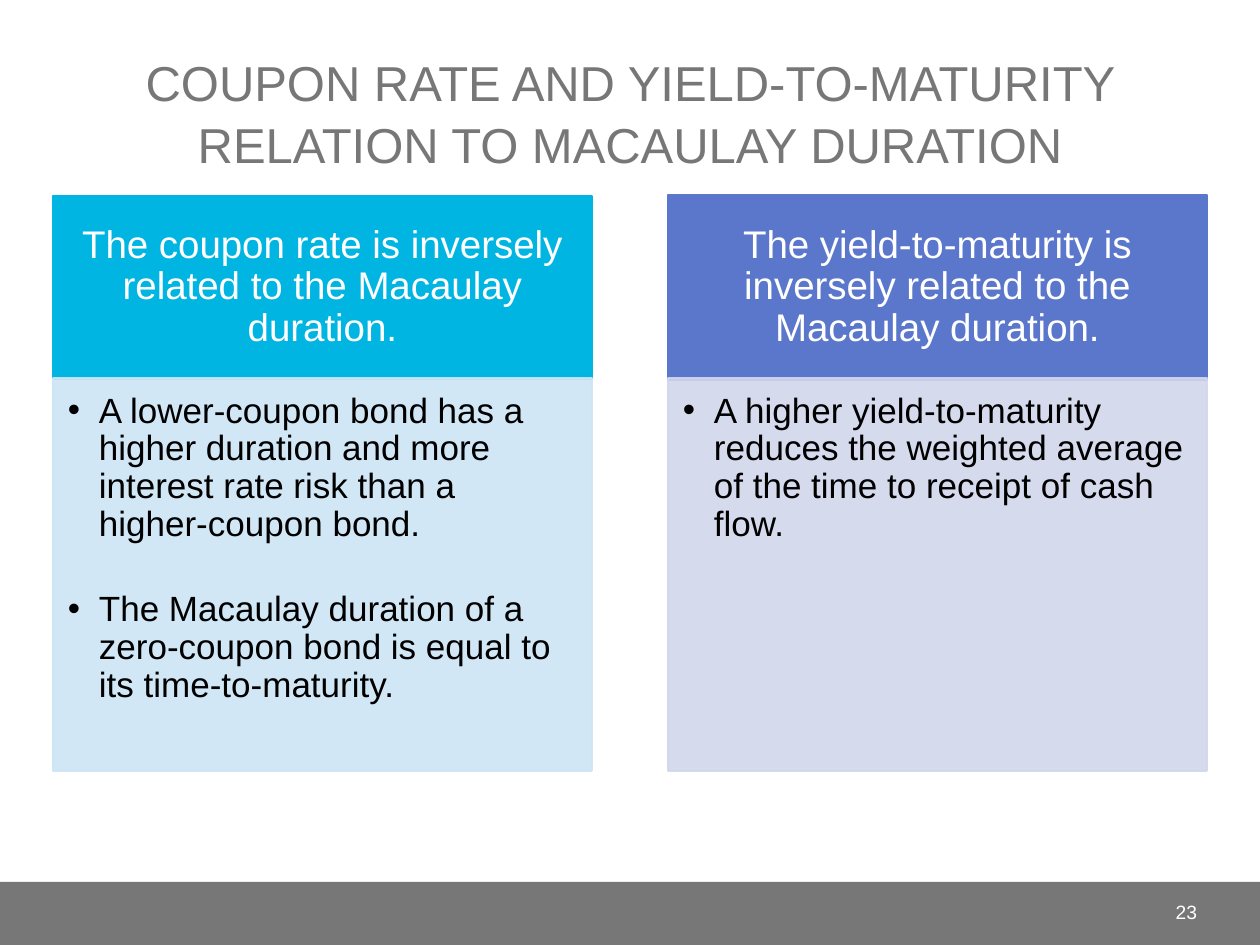
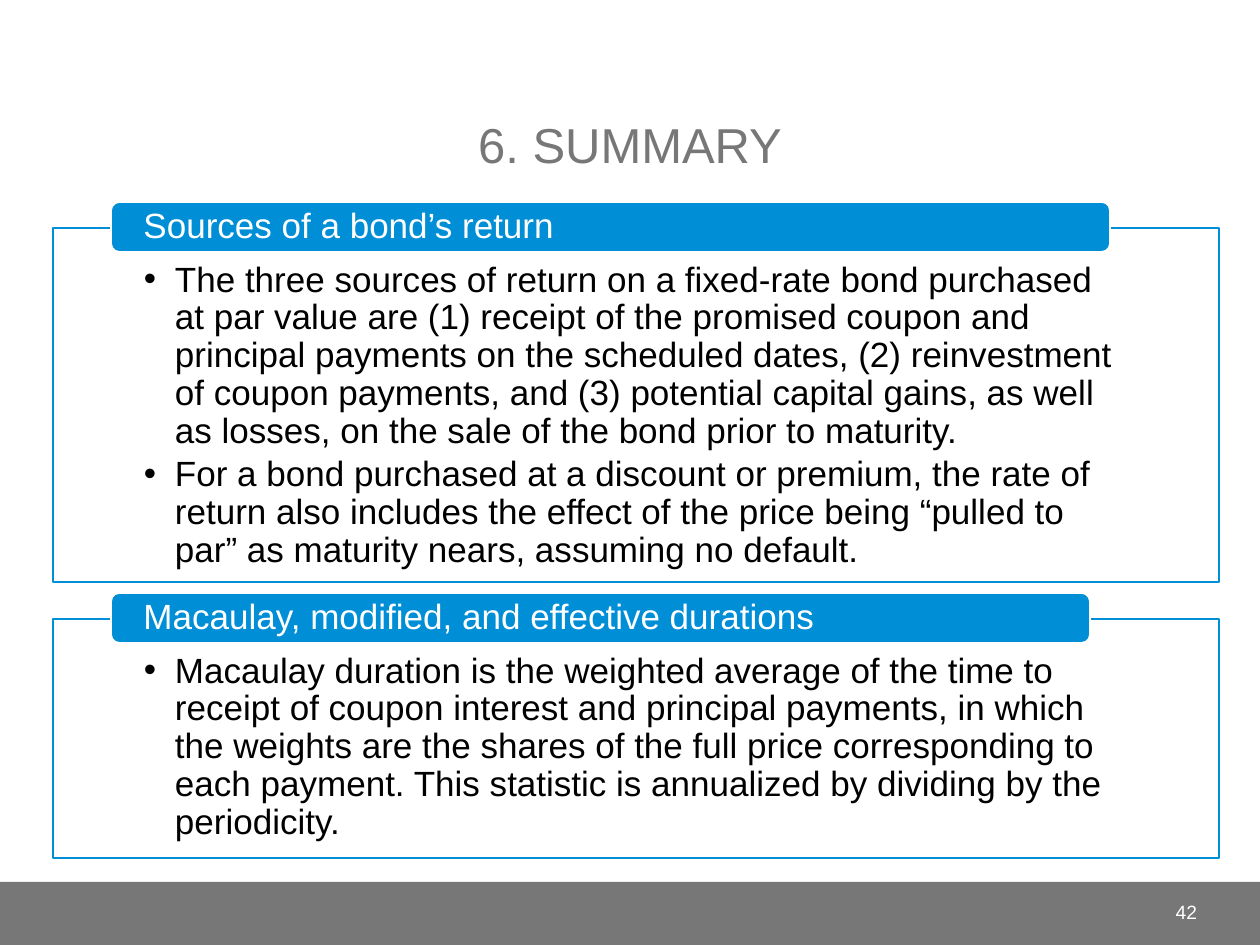
from pptx import Presentation
from pptx.dml.color import RGBColor
from pptx.enum.shapes import MSO_SHAPE
from pptx.enum.text import MSO_ANCHOR, PP_ALIGN
from pptx.oxml.ns import qn
from pptx.util import Pt
from lxml import etree

RECT, ROUND = MSO_SHAPE.RECTANGLE, MSO_SHAPE.ROUNDED_RECTANGLE
TOP, MID, LOW = MSO_ANCHOR.TOP, MSO_ANCHOR.MIDDLE, MSO_ANCHOR.BOTTOM
LEFT, MIDST, RIGHT = PP_ALIGN.LEFT, PP_ALIGN.CENTER, PP_ALIGN.RIGHT
SCALE = 914400 / 126
FONT = "Arial"
WIDE, HIGH = 1260, 945
EDGE = 53
HUES = {
    "grey": "777777", "white": "FFFFFF", "black": "000000",
    "cyan": "00B5E2", "ice": "CCE5F4",
    "blue": "5B77CC", "mist": "D2D6EC", "azure": "008ED6",
}


def px(num):
    return round(num * SCALE)


def hue(name):
    return RGBColor.from_string(HUES[name])


def write(shape, text, size=20, color="black", align=LEFT, anchor=TOP,
          pad=(13, 6, 13, 6), space=0.9, after=0, bullet=False):
    frame = shape.text_frame
    frame.word_wrap = True
    frame.vertical_anchor = anchor
    frame.margin_left, frame.margin_top, frame.margin_right, frame.margin_bottom = map(px, pad)
    lines = [text] if isinstance(text, str) else text
    for num, line in enumerate(lines):
        para = frame.paragraphs[0] if num == 0 else frame.add_paragraph()
        para.alignment = align
        para.line_spacing = space
        para.space_after = Pt(after)
        run = para.add_run()
        run.text = line
        run.font.name = FONT
        run.font.size = Pt(size)
        run.font.color.rgb = hue(color)
        if bullet:
            props = para._p.get_or_add_pPr()
            props.set("marL", str(px(31)))
            props.set("indent", str(px(-31)))
            etree.SubElement(props, qn("a:buFont")).set("typeface", FONT)
            etree.SubElement(props, qn("a:buChar")).set("char", "•")


def label(slide, area, text, **form):
    write(slide.shapes.add_textbox(*map(px, area)), text, **form)


def box(slide, area, fill=None, line=None, kind=RECT, alpha=None):
    shape = slide.shapes.add_shape(kind, *map(px, area))
    shape.shadow.inherit = False
    if fill:
        shape.fill.solid()
        shape.fill.fore_color.rgb = hue(fill)
    else:
        shape.fill.background()
    if line:
        shape.line.color.rgb = hue(line)
        shape.line.width = Pt(1)
    else:
        shape.line.fill.background()
    if alpha:
        for tone in shape._element.spPr.iter(qn("a:srgbClr")):
            etree.SubElement(tone, qn("a:alpha")).set("val", str(alpha * 1000))
    return shape


def page(deck, title, num):
    slide = deck.slides.add_slide(deck.slide_layouts[6])
    box(slide, (0, 882, WIDE, 63), "grey")
    label(slide, (EDGE, 21, 1154, 158), title, size=28, color="grey",
          align=MIDST, anchor=LOW, space=1.05)
    label(slide, (1102, 887, 108, 50), num, size=11, color="white",
          align=RIGHT, anchor=MID, space=1)
    return slide


def column(slide, left, top, high, head, points, dark, pale):
    wide = 539
    cap = box(slide, (left, top, wide, high), dark, dark)
    write(cap, head, size=22, color="white", align=MIDST, anchor=MID,
          pad=(21, 13, 21, 13))
    body = box(slide, (left, 378, wide, 393), pale, pale, alpha=90)
    write(body, points, pad=(15, 15, 20, 21), after=27, bullet=True)


def panel(slide, top, high, tab, head, points):
    body = box(slide, (EDGE, top, 1166, high), line="azure")
    write(body, points, pad=(91, 34, 91, 20), after=3, bullet=True)
    cap = box(slide, (111, top - 26, tab, 50), "azure", "white", ROUND)
    write(cap, head, color="white", anchor=MID, pad=(30, 0, 30, 0))


def main():
    deck = Presentation()
    deck.slide_width, deck.slide_height = px(WIDE), px(HIGH)

    slide = page(deck, "COUPON RATE AND YIELD-TO-MATURITY RELATION TO MACAULAY DURATION", "23")
    column(slide, EDGE, 196, 183,
           "The coupon rate is inversely related to the Macaulay duration.",
           ["A lower-coupon bond has a higher duration and more interest rate risk "
            "than a higher-coupon bond.",
            "The Macaulay duration of a zero-coupon bond is equal to its time-to-maturity."],
           "cyan", "ice")
    column(slide, 668, 195, 185,
           "The yield-to-maturity is inversely related to the Macaulay duration.",
           ["A higher yield-to-maturity reduces the weighted average of the time "
            "to receipt of cash flow."],
           "blue", "mist")

    slide = page(deck, "6. SUMMARY", "42")
    panel(slide, 228, 354, 999, "Sources of a bond’s return",
          ["The three sources of return on a fixed-rate bond purchased at par value are "
           "(1) receipt of the promised coupon and principal payments on the scheduled dates, "
           "(2) reinvestment of coupon payments, and (3) potential capital gains, as well as "
           "losses, on the sale of the bond prior to maturity.",
           "For a bond purchased at a discount or premium, the rate of return also includes "
           "the effect of the price being “pulled to par” as maturity nears, assuming no default."])
    panel(slide, 619, 239, 979, "Macaulay, modified, and effective durations",
          ["Macaulay duration is the weighted average of the time to receipt of coupon interest "
           "and principal payments, in which the weights are the shares of the full price "
           "corresponding to each payment. This statistic is annualized by dividing by the "
           "periodicity."])

    deck.save("out.pptx")


if __name__ == "__main__":
    main()
